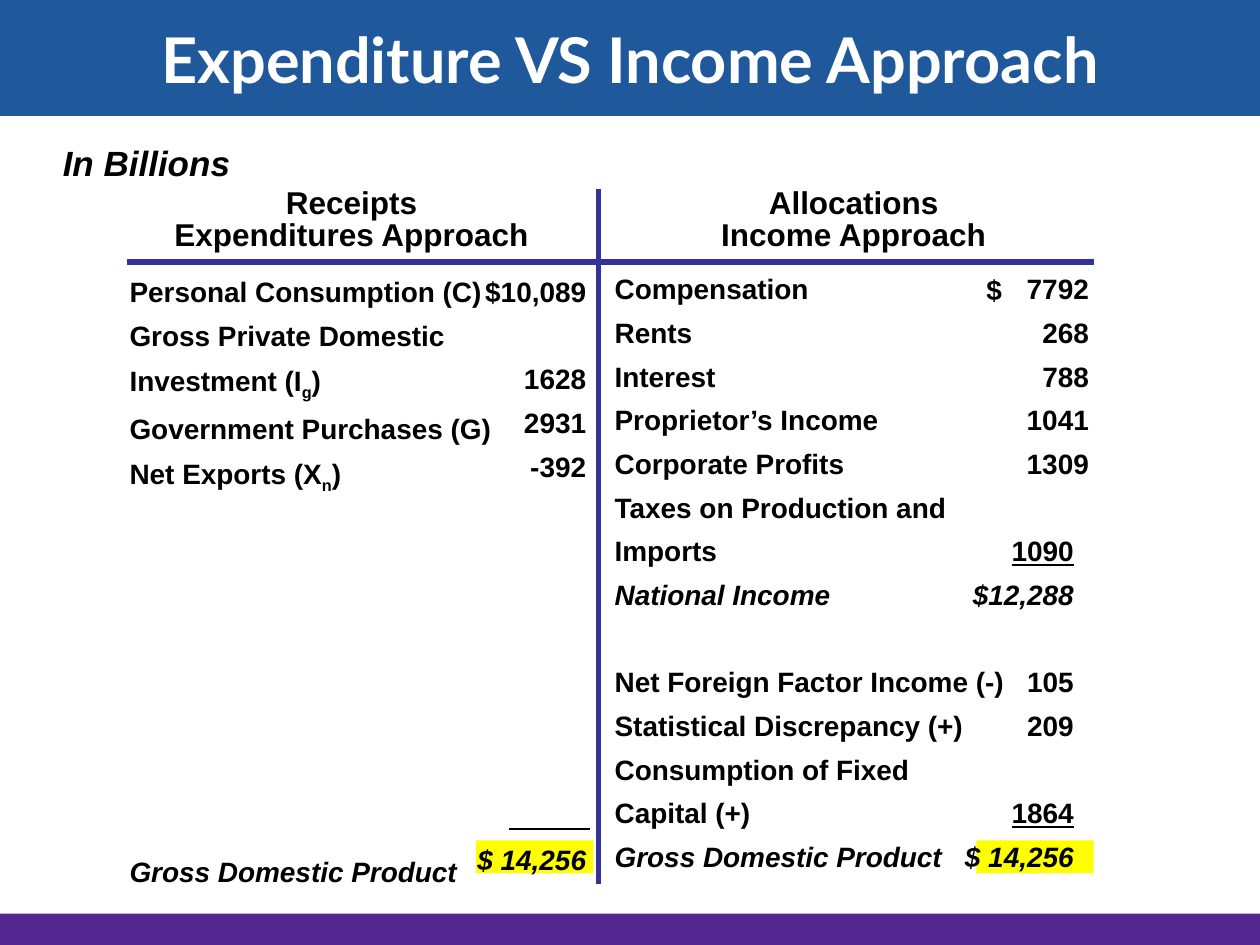
from pptx import Presentation
from pptx.util import Inches, Pt
from pptx.dml.color import RGBColor
from pptx.enum.shapes import MSO_CONNECTOR, MSO_SHAPE
from pptx.enum.text import MSO_ANCHOR, PP_ALIGN
from lxml import etree

RECT = MSO_SHAPE.RECTANGLE
STRAIGHT = MSO_CONNECTOR.STRAIGHT
MIDDLE, TOP = MSO_ANCHOR.MIDDLE, MSO_ANCHOR.TOP
LEFT, CENTER, RIGHT = PP_ALIGN.LEFT, PP_ALIGN.CENTER, PP_ALIGN.RIGHT
DML = "http://schemas.openxmlformats.org/drawingml/2006/main"
COLORS = {"band": "20589C", "footer": "522890", "mark": "FFFF00",
          "rule": "333399", "text": "000000", "title": "FFFFFF"}
ROW_PITCH = 24.96  # points taken by one 16 pt row at 1.3 line spacing


def color(name):
    return RGBColor.from_string(COLORS[name])


class Builder:
    """Holds the text style and the current slide."""

    font = "Arial"

    def __init__(self, slide):
        self.shapes = slide.shapes

    def rect(self, x, y, w, h, fill):
        s = self.shapes.add_shape(RECT, Inches(x), Inches(y), Inches(w), Inches(h))
        s.shadow.inherit = False
        s.fill.solid()
        s.fill.fore_color.rgb = color(fill)
        s.line.fill.background()

    def line(self, x1, y1, x2, y2, stroke, width):
        s = self.shapes.add_connector(STRAIGHT, Inches(x1), Inches(y1),
                                      Inches(x2), Inches(y2))
        s.line.color.rgb = color(stroke)
        s.line.width = Pt(width)
        etree.SubElement(s._element.spPr, f"{{{DML}}}effectLst")

    def text(self, x, y, w, h, rows, size=16, align=LEFT, spacing=1.0, wrap=True,
             fill="text", font=None, anchor=TOP):
        """A row is (text, style, skipped rows); style has i, u or n (inset).
        A part of the text between underscores is a subscript."""
        sp = self.shapes.add_textbox(Inches(x), Inches(y), Inches(w), Inches(h))
        tf = sp.text_frame
        tf.word_wrap = wrap
        tf.vertical_anchor = anchor
        for k, (words, style, skipped) in enumerate(rows):
            p = tf.paragraphs[0] if k == 0 else tf.add_paragraph()
            p.alignment = align
            p.line_spacing = spacing
            if skipped:
                p.space_before = Pt(skipped * ROW_PITCH)
            if "n" in style:
                p._p.get_or_add_pPr().set("marR", str(Inches(0.12)))
            for part, piece in enumerate(words.split("_")):
                r = p.add_run()
                r.text = piece
                r.font.name = font or self.font
                r.font.size = Pt(size)
                r.font.bold = True
                r.font.italic = "i" in style
                r.font.underline = "u" in style
                r.font.color.rgb = color(fill)
                if part % 2:
                    r.font._element.set("baseline", "-25000")

    def column(self, x, y, w, rows, align=LEFT):
        self.text(x, y, w, 4.96, rows, align=align, spacing=1.3)


EXPENDITURES = [
    ("Personal Consumption (C)", "", 0),
    ("Gross Private Domestic Investment (I_g_)", "", 0),
    ("Government Purchases (G)", "", 0),
    ("Net Exports (X_n_)", "", 0),
    ("Gross Domestic Product", "i", 8),
]
EXPENDITURE_AMOUNTS = [
    ("$10,089", "", 0), ("1628", "", 1), ("2931", "", 0), ("-392", "", 0),
    ("$ 14,256", "i", 8),
]
INCOMES = [
    ("Compensation", "", 0),
    ("Rents", "", 0),
    ("Interest", "", 0),
    ("Proprietor’s Income", "", 0),
    ("Corporate Profits", "", 0),
    ("Taxes on Production and Imports", "", 0),
    ("National Income", "i", 0),
    ("Net Foreign Factor Income (-)", "", 1),
    ("Statistical Discrepancy (+)", "", 0),
    ("Consumption of Fixed Capital (+)", "", 0),
    ("Gross Domestic Product", "i", 0),
]
INCOME_AMOUNTS = [
    ("7792", "", 0), ("268", "", 0), ("788", "", 0), ("1041", "", 0),
    ("1309", "", 0), ("1090", "un", 1), ("$12,288", "i", 0), ("105", "", 1),
    ("209", "", 0), ("1864", "u", 1), ("$ 14,256", "i", 0),
]


def main():
    prs = Presentation()
    prs.slide_width, prs.slide_height = Inches(10), Inches(7.5)
    b = Builder(prs.slides.add_slide(prs.slide_layouts[6]))

    # Title band and footer
    b.rect(0, 0, 10, 0.92, "band")
    b.rect(0, 7.25, 10, 0.25, "footer")
    b.text(0, 0, 10, 0.92, [("Expenditure VS Income Approach", "", 0)], size=36,
           align=CENTER, fill="title", font="Lato", anchor=MIDDLE)

    # Highlights behind the two totals
    for x in (3.78, 7.75):
        b.rect(x, 6.67, 0.93, 0.26, "mark")

    # Unit and column headings
    b.text(0.4, 1.07, 1.53, 0.43, [("In Billions", "i", 0)], size=20)
    for x, w, heads in ((1.28, 3.02, ("Receipts", "Expenditures Approach")),
                        (5.62, 2.31, ("Allocations", "Income Approach"))):
        b.text(x, 1.45, w, 0.61, [(head, "", 0) for head in heads], size=18,
               align=CENTER, spacing=0.85, wrap=False)

    # Expenditure side
    b.column(0.93, 2.05, 3.11, EXPENDITURES)
    b.column(3.3, 2.05, 1.45, EXPENDITURE_AMOUNTS, RIGHT)
    b.line(4.04, 6.58, 4.68, 6.58, "text", 0.75)

    # Income side, with the dollar sign set apart from the first amount
    b.column(4.78, 2.03, 3.32, INCOMES)
    b.column(7.23, 2.03, 1.51, INCOME_AMOUNTS, RIGHT)
    b.text(7.73, 2.03, 0.4, 0.45, [("$", "", 0)], spacing=1.3)

    # Rules of the T-account
    b.line(4.75, 1.5, 4.75, 7.02, "rule", 3)
    b.line(1.01, 2.08, 8.68, 2.08, "rule", 3)

    prs.save("out.pptx")


if __name__ == "__main__":
    main()
